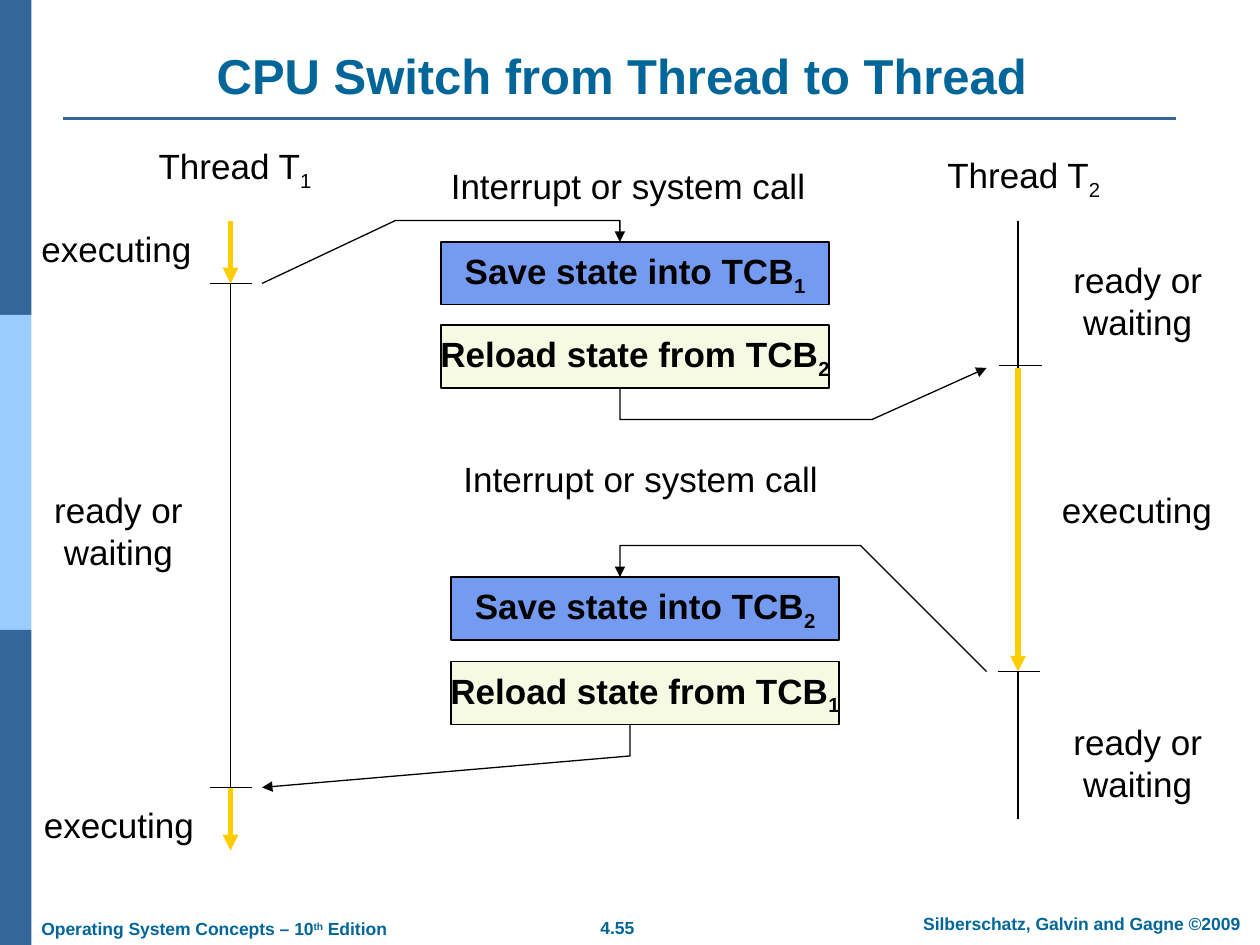
import pptx
import pptx.util
import pptx.dml.color
import pptx.enum.shapes
import pptx.enum.text
import pptx.oxml
import pptx.oxml.ns

Inches = pptx.util.Inches
RGBColor = pptx.dml.color.RGBColor
ALIGN = pptx.enum.text.PP_ALIGN
ANCHOR = pptx.enum.text.MSO_ANCHOR
RECTANGLE = pptx.enum.shapes.MSO_SHAPE.RECTANGLE
STRAIGHT = pptx.enum.shapes.MSO_CONNECTOR.STRAIGHT

BLACK = RGBColor(0x00, 0x00, 0x00)
TEAL = RGBColor(0x00, 0x66, 0x99)
DARK_BLUE = RGBColor(0x33, 0x66, 0x99)
LIGHT_BLUE = RGBColor(0x99, 0xCC, 0xFF)
SAVE_BLUE = RGBColor(0x75, 0x9B, 0xF1)
RELOAD_CREAM = RGBColor(0xF6, 0xFA, 0xE2)
GOLD = RGBColor(0xFF, 0xCC, 0x00)

deck = pptx.Presentation()
deck.slide_width, deck.slide_height = Inches(10), Inches(7.5)
page = deck.slides.add_slide(deck.slide_layouts[6])


def write(box, spans, size=20, color=BLACK, bold=False, align=ALIGN.LEFT, anchor=ANCHOR.TOP):
    """Fill a box with (text, baseline percent) spans; a newline breaks the line."""
    frame = box.text_frame
    frame.word_wrap = False
    frame.vertical_anchor = anchor
    para = frame.paragraphs[0]
    para.alignment = align
    for text, baseline in spans:
        for index, piece in enumerate(text.split("\n")):
            if index:
                para.add_line_break()
            span = para.add_run()
            span.text = piece
            span.font.name = "Arial"
            span.font.size = pptx.util.Pt(size)
            span.font.bold = bold
            span.font.color.rgb = color
            if baseline:
                span.font._element.set("baseline", str(baseline * 1000))


def style_line(shape, color=BLACK, width=0.75, arrow=False):
    """Colour a line, drop its shadow and add an arrowhead where wanted."""
    shape.line.color.rgb = color
    shape.line.width = pptx.util.Pt(width)
    if arrow:
        head = pptx.oxml.parse_xml(
            '<a:tailEnd %s type="triangle"/>' % pptx.oxml.ns.nsdecls("a"))
        shape.line._get_or_add_ln().append(head)
    properties = shape._element.spPr
    if properties.find(pptx.oxml.ns.qn("a:effectLst")) is None:
        properties.append(pptx.oxml.parse_xml(
            "<a:effectLst %s/>" % pptx.oxml.ns.nsdecls("a")))


# Side band in three equal parts
for index, color in enumerate([DARK_BLUE, LIGHT_BLUE, DARK_BLUE]):
    band = page.shapes.add_shape(
        RECTANGLE, 0, Inches(2.5 * index), Inches(0.25), Inches(2.5))
    band.shadow.inherit = False
    band.fill.solid()
    band.fill.fore_color.rgb = color
    band.line.fill.background()

# Title
title = page.shapes.add_textbox(Inches(1.18), 0, Inches(7.51), Inches(0.88))
write(title, [("CPU Switch from Thread to Thread", 0)], 28, TEAL, True,
      ALIGN.CENTER, ANCHOR.BOTTOM)

# Footer
footers = [
    (0.23, 7.24, 2.94, ALIGN.LEFT,
     [("Operating System Concepts – 10", 0), ("th", 30), (" Edition", 0)]),
    (4.41, 7.23, 0.98, ALIGN.CENTER, [("4.55", 0)]),
    (7.1, 7.2, 2.97, ALIGN.CENTER, [("Silberschatz, Galvin and Gagne ©2009", 0)]),
]
for left, top, width, align, spans in footers:
    footer = page.shapes.add_textbox(Inches(left), Inches(top), Inches(width), Inches(0.27))
    write(footer, spans, 10, TEAL, True, align)

# Thread names, states and events
labels = [
    (1.16, 1.1, 1.42, 0.48, [("Thread T", 0), ("1", -25)]),
    (7.42, 1.17, 1.42, 0.48, [("Thread T", 0), ("2", -25)]),
]
for left, top in [(0.23, 1.76), (0.25, 6.33), (8.33, 3.83)]:
    labels.append((left, top, 1.39, 0.44, [("executing", 0)]))
for left, top in [(0.33, 3.83), (8.42, 2), (8.42, 5.67)]:
    labels.append((left, top, 1.22, 0.77, [("ready or\nwaiting", 0)]))
for left, top in [(3.48, 1.26), (3.58, 3.58)]:
    labels.append((left, top, 3.1, 0.44, [("Interrupt or system call", 0)]))
for left, top, width, height, spans in labels:
    label = page.shapes.add_textbox(Inches(left), Inches(top), Inches(width), Inches(height))
    align = ALIGN.CENTER if "\n" in spans[0][0] else ALIGN.LEFT
    write(label, spans, align=align)

# Save and reload steps
steps = [
    (3.5, 1.92, "Save state into TCB", "1", SAVE_BLUE),
    (3.5, 2.58, "Reload state from TCB", "2", RELOAD_CREAM),
    (3.58, 4.58, "Save state into TCB", "2", SAVE_BLUE),
    (3.58, 5.25, "Reload state from TCB", "1", RELOAD_CREAM),
]
for left, top, action, thread, color in steps:
    step = page.shapes.add_shape(
        RECTANGLE, Inches(left), Inches(top), Inches(3.08), Inches(0.5))
    step.fill.solid()
    step.fill.fore_color.rgb = color
    style_line(step)
    write(step, [(action, 0), (thread, -25)], bold=True,
          align=ALIGN.CENTER, anchor=ANCHOR.MIDDLE)

# Title rule, then the two timelines: ticks, waiting lines, executing arrows
lines = [
    (0.5, 0.94, 9.33, 0.94, DARK_BLUE, 1.5, False),
    (1.67, 2.25, 2, 2.25, BLACK, 0.75, False),
    (1.67, 6.25, 2, 6.25, BLACK, 0.75, False),
    (7.93, 2.9, 8.27, 2.9, BLACK, 0.75, False),
    (7.92, 5.33, 8.25, 5.33, BLACK, 0.75, False),
]
for x, top, bottom in [(1.83, 2.25, 6.25), (8.08, 1.75, 2.92), (8.08, 5.33, 6.5)]:
    lines.append((x, top, x, bottom, BLACK, 0.75, False))
for x, top, bottom in [(1.83, 1.75, 2.25), (1.83, 6.25, 6.75), (8.08, 2.92, 5.33)]:
    lines.append((x, top, x, bottom, GOLD, 3, True))
for x1, y1, x2, y2, color, width, arrow in lines:
    line = page.shapes.add_connector(
        STRAIGHT, Inches(x1), Inches(y1), Inches(x2), Inches(y2))
    style_line(line, color, width, arrow)

# Bent arrows between the timelines and the steps
routes = [
    [(2.08, 2.25), (3.14, 1.75), (4.92, 1.75), (4.92, 1.92)],
    [(4.92, 3.08), (4.92, 3.33), (6.92, 3.33), (7.83, 2.92)],
    [(7.83, 5.33), (6.83, 4.33), (4.92, 4.33), (4.92, 4.58)],
    [(5, 5.75), (5, 6), (2.08, 6.25)],
]
for route in routes:
    points = [(Inches(x), Inches(y)) for x, y in route]
    builder = page.shapes.build_freeform(*points[0])
    builder.add_line_segments(points[1:], close=False)
    bent_arrow = builder.convert_to_shape()
    bent_arrow.fill.background()
    style_line(bent_arrow, arrow=True)

deck.save("out.pptx")
